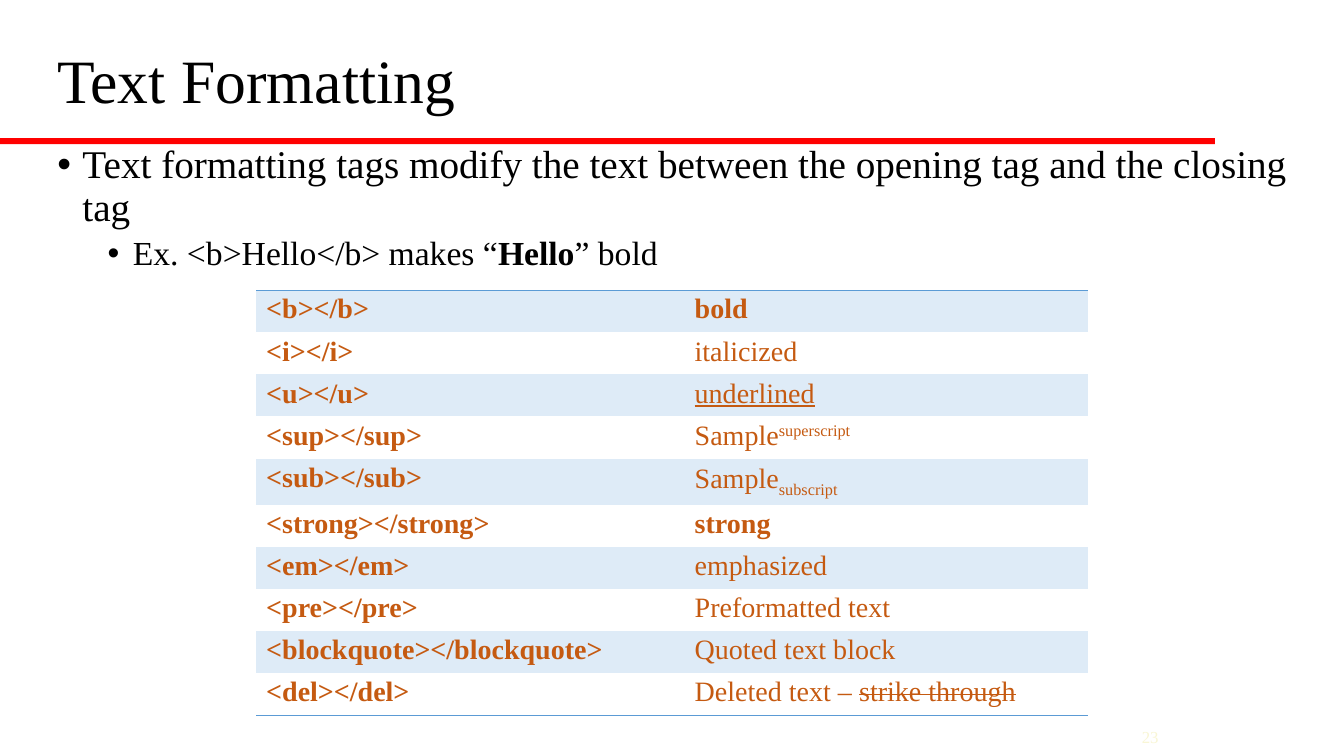
import pptx
import pptx.dml.color
import pptx.enum.shapes
import pptx.enum.text
import pptx.oxml
import pptx.oxml.ns
import pptx.util

Inches = pptx.util.Inches
Pt = pptx.util.Pt
ANCHOR = pptx.enum.text.MSO_ANCHOR

FONT = "Times New Roman"
COLORS = {"text": "000000", "rule": "FF0000", "cell": "C55A11",
          "band": "DEEBF7", "border": "5B9BD5", "number": "F9F6D5"}

# Tag, then the runs of its example: text, font values, run attributes
TAGS = [
    ("<b></b>", [("bold", {"bold": True}, {})]),
    ("<i></i>", [("italicized", {}, {})]),
    ("<u></u>", [("underlined", {"underline": True}, {})]),
    ("<sup></sup>", [("Sample", {}, {}),
                     ("superscript", {}, {"baseline": "30000"})]),
    ("<sub></sub>", [("Sample", {}, {}),
                     ("subscript", {}, {"baseline": "-25000"})]),
    ("<strong></strong>", [("strong", {"bold": True}, {})]),
    ("<em></em>", [("emphasized", {}, {})]),
    ("<pre></pre>", [("Preformatted text", {}, {})]),
    ("<blockquote></blockquote>", [("Quoted text block", {}, {})]),
    ("<del></del>", [("Deleted text – ", {}, {}),
                     ("strike through", {}, {"strike": "sngStrike"})]),
]


def rgb(name):
    return pptx.dml.color.RGBColor.from_string(COLORS[name])


def add_runs(p, runs, size, color):
    for text, values, attributes in runs:
        r = p.add_run()
        r.text = text
        for key, value in {"name": FONT, "size": Pt(size), **values}.items():
            setattr(r.font, key, value)
        r.font.color.rgb = rgb(color)
        for key, value in attributes.items():
            r.font._element.set(key, value)


def add_text_box(s, left, top, width, height, anchor=ANCHOR.TOP):
    sp = s.shapes.add_textbox(Inches(left), Inches(top), Inches(width), Inches(height))
    tf = sp.text_frame
    tf.word_wrap = True
    tf.vertical_anchor = anchor
    return tf


def add_bullet(p, indent):
    pPr = p._p.get_or_add_pPr()
    pPr.set("marL", str(Inches(indent)))
    pPr.set("indent", str(Inches(-0.25)))
    ns = pptx.oxml.ns.nsdecls("a")
    pPr.append(pptx.oxml.parse_xml(f'<a:buFont {ns} typeface="Arial"/>'))
    pPr.append(pptx.oxml.parse_xml(f'<a:buChar {ns} char="•"/>'))
    p.line_spacing = 0.9


def set_borders(cell, colored):
    ns = pptx.oxml.ns.nsdecls("a")
    tcPr = cell._tc.get_or_add_tcPr()
    for i, side in enumerate(("lnL", "lnR", "lnT", "lnB")):
        fill = "<a:noFill/>"
        if side == colored:
            fill = f'<a:solidFill><a:srgbClr val="{COLORS["border"]}"/></a:solidFill>'
        tcPr.insert(i, pptx.oxml.parse_xml(f'<a:{side} {ns} w="12700">{fill}</a:{side}>'))


def add_tag_table(s):
    table = s.shapes.add_table(len(TAGS), 2, Inches(2.54), Inches(2.88),
                               Inches(8.25), Inches(0.39 * len(TAGS))).table
    table.first_row = table.horz_banding = False
    for column, width in zip(table.columns, (4.25, 4)):
        column.width = Inches(width)
    for i, (tag, example) in enumerate(TAGS):
        colored = {0: "lnT", len(TAGS) - 1: "lnB"}.get(i)
        for j, runs in enumerate(([(tag, {"bold": True}, {})], example)):
            cell = table.cell(i, j)
            if i % 2 == 0:
                cell.fill.solid()
                cell.fill.fore_color.rgb = rgb("band")
            else:
                cell.fill.background()
            set_borders(cell, colored)
            p = cell.text_frame.paragraphs[0]
            p.line_spacing = 0.95
            add_runs(p, runs, 20, "cell")


def main():
    prs = pptx.Presentation()
    prs.slide_width, prs.slide_height = Inches(13.33), Inches(7.5)
    s = prs.slides.add_slide(prs.slide_layouts[6])

    # Title
    p = add_text_box(s, 0.47, 0.33, 9.56, 0.99, ANCHOR.MIDDLE).paragraphs[0]
    p.line_spacing = 0.9
    add_runs(p, [("Text Formatting", {}, {})], 44, "text")

    # Bulleted text
    tf = add_text_box(s, 0.47, 1.39, 12.86, 1.4)
    p = tf.paragraphs[0]
    add_bullet(p, 0.25)
    add_runs(p, [("Text formatting tags modify the text between the opening tag "
                  "and the closing tag", {}, {})], 28, "text")
    p = tf.add_paragraph()
    p.level = 1
    add_bullet(p, 0.75)
    p.space_before = Pt(5)
    add_runs(p, [("Ex. <b>Hello</b> makes “", {}, {}), ("Hello", {"bold": True}, {}),
                 ("” bold", {}, {})], 24, "text")

    # Red rule under the title
    sp = s.shapes.add_shape(pptx.enum.shapes.MSO_SHAPE.RECTANGLE,
                            Inches(0), Inches(1.37), Inches(12.05), Inches(0.06))
    sp.shadow.inherit = False
    sp.fill.solid()
    sp.fill.fore_color.rgb = rgb("rule")
    sp.line.fill.background()

    # Table of tags
    add_tag_table(s)

    # Slide number
    p = add_text_box(s, 10.59, 7.16, 1, 0.3, ANCHOR.MIDDLE).paragraphs[0]
    p.alignment = pptx.enum.text.PP_ALIGN.RIGHT
    add_runs(p, [("23", {}, {})], 12, "number")

    prs.save("out.pptx")


if __name__ == "__main__":
    main()
